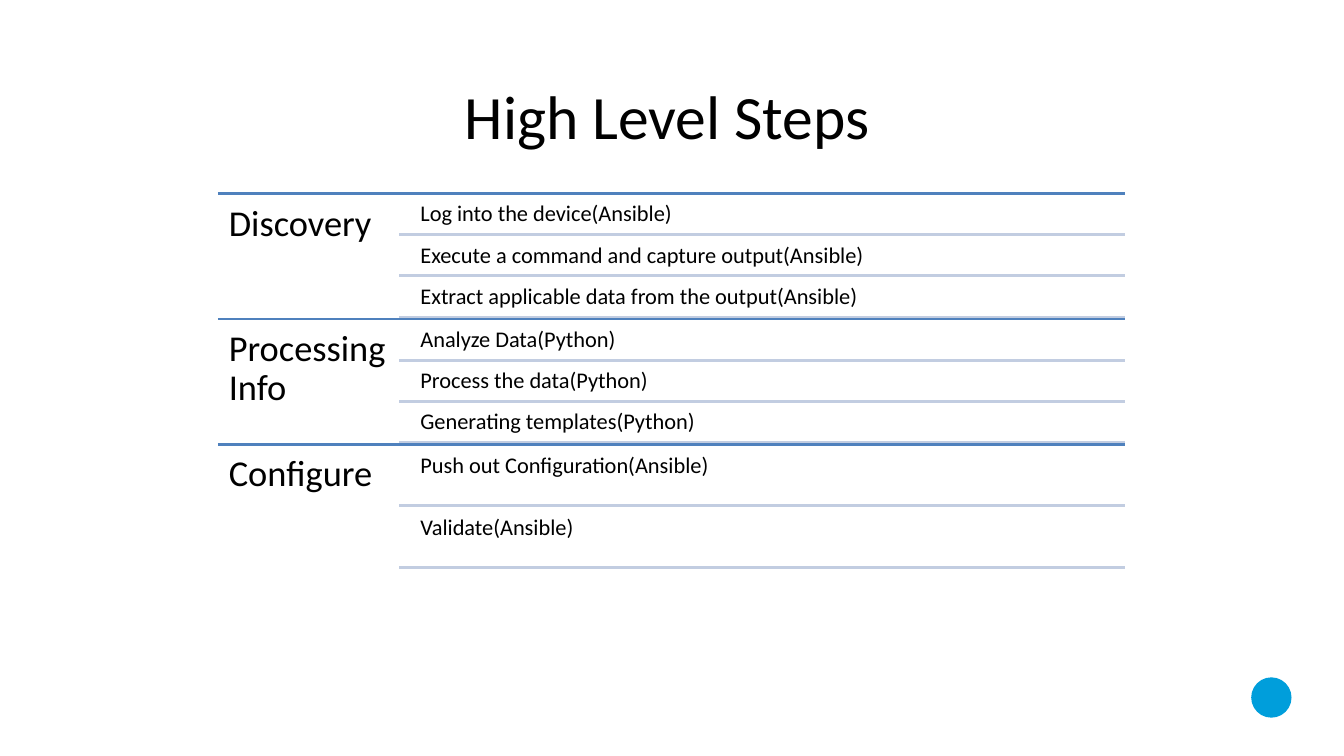
from dataclasses import dataclass

from lxml.etree import SubElement
from pptx import Presentation
from pptx.dml.color import RGBColor
from pptx.enum.shapes import MSO_CONNECTOR, MSO_SHAPE
from pptx.enum.text import MSO_ANCHOR, PP_ALIGN
from pptx.oxml.ns import qn
from pptx.util import Inches, Pt


@dataclass(frozen=True)
class Theme:
    """Colours, font and type sizes of the slide."""
    font: str = "Calibri"
    ink: str = "000000"
    section_rule: str = "4F81BD"
    step_rule: str = "C2CDE1"
    emblem: str = "009EDB"
    title_size: int = 44
    section_size: int = 26
    step_size: int = 16
    rule_width: int = 2


class SlideBuilder:
    """Draws styled elements on one slide."""

    def __init__(self, slide, theme):
        """Keep the slide and its theme."""
        self.shapes = slide.shapes
        self.theme = theme

    def text(self, words, left, top, width, height, size, inset,
             align=PP_ALIGN.LEFT, spacing=1.0):
        """Add a wrapped text box with one run."""
        frame = self.shapes.add_textbox(
            Inches(left), Inches(top), Inches(width), Inches(height)).text_frame
        frame.word_wrap = True
        frame.vertical_anchor = MSO_ANCHOR.TOP
        frame.margin_left = frame.margin_right = Inches(inset)
        frame.margin_top = frame.margin_bottom = Inches(min(inset, 0.11))
        paragraph = frame.paragraphs[0]
        paragraph.alignment = align
        paragraph.line_spacing = spacing
        run = paragraph.add_run()
        run.text = words
        run.font.name = self.theme.font
        run.font.size = Pt(size)
        run.font.color.rgb = RGBColor.from_string(self.theme.ink)

    def rule(self, left, right, top, color):
        """Add a horizontal line without a shadow."""
        rule = self.shapes.add_connector(
            MSO_CONNECTOR.STRAIGHT,
            Inches(left), Inches(top), Inches(right), Inches(top))
        rule.line.color.rgb = RGBColor.from_string(color)
        rule.line.width = Pt(self.theme.rule_width)
        SubElement(rule._element.spPr, qn("a:effectLst"))

    def emblem(self, left, top, diameter):
        """Add a plain round emblem."""
        emblem = self.shapes.add_shape(
            MSO_SHAPE.OVAL, Inches(left), Inches(top),
            Inches(diameter), Inches(diameter))
        emblem.shadow.inherit = False
        emblem.fill.solid()
        emblem.fill.fore_color.rgb = RGBColor.from_string(self.theme.emblem)
        emblem.line.fill.background()

    def section(self, heading, steps, top):
        """Add a section heading with its evenly spaced steps."""
        theme = self.theme
        step_height = SECTION_HEIGHT / (len(steps) + GAP_RATIO * (len(steps) + 1))
        gap = GAP_RATIO * step_height
        self.rule(LEFT, RIGHT, top, theme.section_rule)
        self.text(heading, LEFT, top, HEADING_WIDTH, SECTION_HEIGHT,
                  theme.section_size, 0.11, spacing=0.9)
        for index, step in enumerate(steps):
            step_top = top + gap + index * (step_height + gap)
            self.text(step, STEP_LEFT, step_top, RIGHT - STEP_LEFT, step_height,
                      theme.step_size, 0.07, spacing=0.9)
            self.rule(LEFT + HEADING_WIDTH, RIGHT, step_top + step_height,
                      theme.step_rule)


LEFT, RIGHT, TOP = 2.16, 11.16, 1.92
HEADING_WIDTH = 1.8
STEP_LEFT = 4.1
SECTION_HEIGHT = 1.245
GAP_RATIO = 0.05
SECTIONS = {
    "Discovery": [
        "Log into the device(Ansible)",
        "Execute a command and capture output(Ansible)",
        "Extract applicable data from the output(Ansible)",
    ],
    "Processing Info": [
        "Analyze Data(Python)",
        "Process the data(Python)",
        "Generating templates(Python)",
    ],
    "Configure": [
        "Push out Configuration(Ansible)",
        "Validate(Ansible)",
    ],
}


def main():
    """Build and save the slide."""
    deck = Presentation()
    deck.slide_width, deck.slide_height = Inches(13.33), Inches(7.5)
    theme = Theme()
    builder = SlideBuilder(deck.slides.add_slide(deck.slide_layouts[6]), theme)
    builder.emblem(12.41, 6.72, 0.4)
    builder.text("High Level Steps", 1.83, 0.67, 9.58, 0.84,
                 theme.title_size, 0.1, align=PP_ALIGN.CENTER)
    for index, (heading, steps) in enumerate(SECTIONS.items()):
        builder.section(heading, steps, TOP + index * SECTION_HEIGHT)
    deck.save("out.pptx")


if __name__ == "__main__":
    main()
